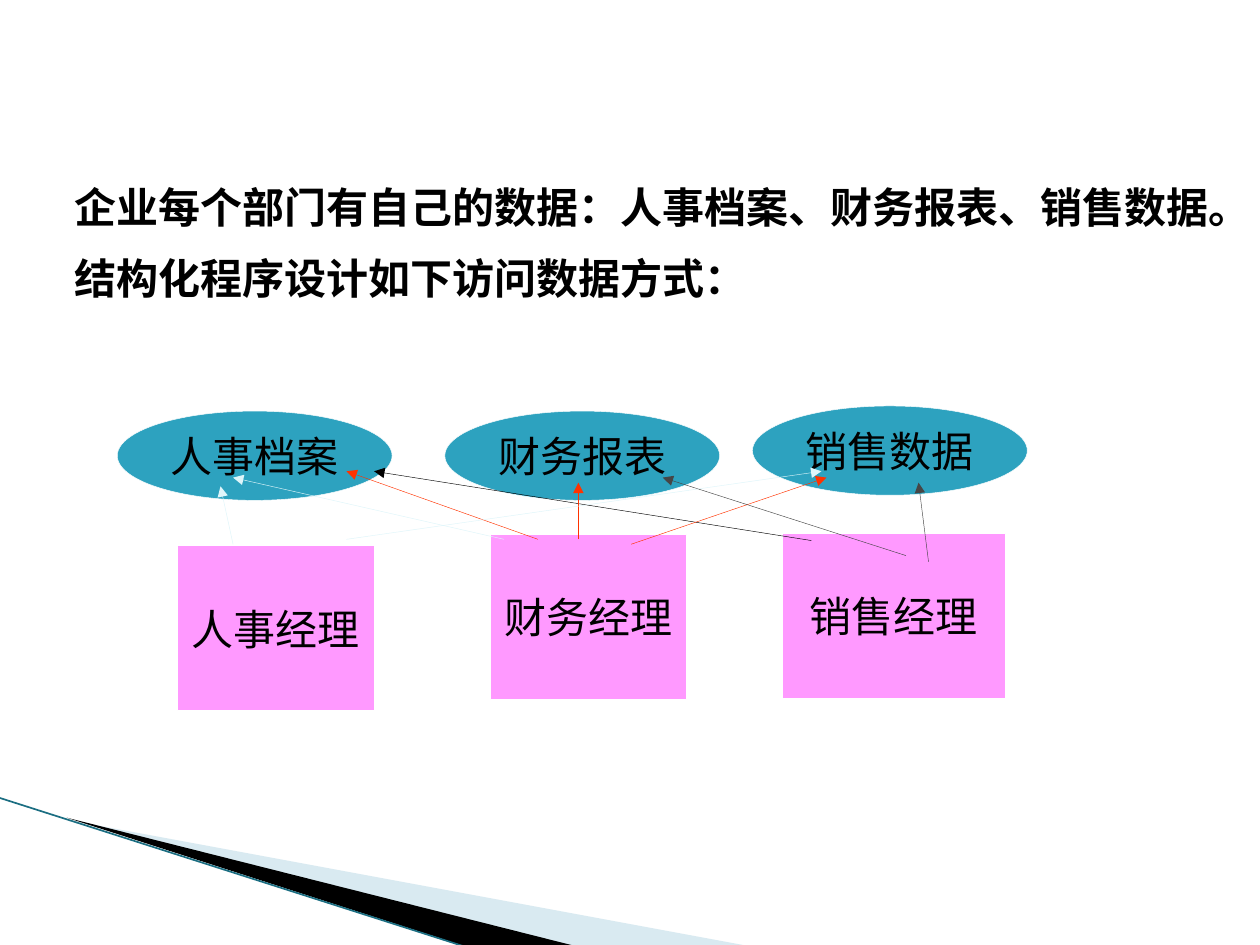
from lxml.etree import SubElement
from pptx import Presentation
from pptx.dml.color import RGBColor
from pptx.enum.shapes import MSO_CONNECTOR, MSO_SHAPE
from pptx.enum.text import MSO_ANCHOR, PP_ALIGN
from pptx.oxml.ns import qn
from pptx.util import Pt

COLORS = {
    "text": "000000",
    "data": "2DA2BF",
    "manager": "FF99FF",
    "outline": "FFFFFF",
    "personnel": "DEF5FA",
    "finance": "FF3300",
    "sales": "464646",
    "sales_far": "000000",
    "pale_wedge": "A0CBDC",
    "dark_wedge": "000000",
    "edge": "1B6E82",
}
FONT = "Times New Roman"


def color(name):
    return RGBColor.from_string(COLORS[name])


def add_text(para, text, bold=False):
    span = para.add_run()
    span.text = text
    span.font.name = FONT
    span.font.size = Pt(24)
    span.font.bold = bold
    span.font.color.rgb = color("text")


def add_node(page, kind, text, fill, left, top, width, height, wrap):
    node = page.shapes.add_shape(kind, Pt(left), Pt(top), Pt(width), Pt(height))
    node.shadow.inherit = False
    node.fill.solid()
    node.fill.fore_color.rgb = color(fill)
    node.line.color.rgb = color("outline")
    node.line.width = Pt(0.25)
    frame = node.text_frame
    frame.word_wrap = wrap
    frame.vertical_anchor = MSO_ANCHOR.MIDDLE
    para = frame.paragraphs[0]
    para.alignment = PP_ALIGN.CENTER
    add_text(para, text)


def add_line(page, start, end, name, width, arrow=False):
    line = page.shapes.add_connector(
        MSO_CONNECTOR.STRAIGHT, *[Pt(value) for value in (*start, *end)])
    line.line.color.rgb = color(name)
    line.line.width = Pt(width)
    if arrow:
        SubElement(line.line._get_or_add_ln(), qn("a:tailEnd"), type="triangle")
    SubElement(line._element.spPr, qn("a:effectLst"))


def add_wedge(page, points, name, opacity=None):
    start, *others = [(Pt(x), Pt(y)) for x, y in points]
    builder = page.shapes.build_freeform(*start)
    builder.add_line_segments(others, close=True)
    wedge = builder.convert_to_shape()
    wedge.shadow.inherit = False
    wedge.fill.solid()
    wedge.fill.fore_color.rgb = color(name)
    wedge.line.fill.background()
    if opacity:
        tint = wedge._element.spPr.find(qn("a:solidFill"))[0]
        SubElement(tint, qn("a:alpha"), val=str(opacity * 1000))


def add_decoration(page, left, top):
    pale = [(39.6, 12.9), (428.4, 84.9), (328.3, 84.9)]
    dark = [(38.2, 11.5), (329, 84.9), (267.8, 85.6)]
    for points, name, opacity in ((pale, "pale_wedge", 40), (dark, "dark_wedge", None)):
        add_wedge(page, [(left + x, top + y) for x, y in points], name, opacity)
    add_line(page, (left - 0.7, top), (left + 267.1, top + 85.6), "edge", 0.95)


def add_introduction(page, left, top, width, height):
    box = page.shapes.add_textbox(Pt(left), Pt(top), Pt(width), Pt(height))
    frame = box.text_frame
    frame.word_wrap = True
    lines = (
        "企业每个部门有自己的数据：人事档案、财务报表、销售数据。",
        "结构化程序设计如下访问数据方式：",
    )
    for index, text in enumerate(lines):
        para = frame.add_paragraph() if index else frame.paragraphs[0]
        para.space_before = Pt(12)
        add_text(para, text, bold=True)


def add_access_diagram(page, left, top):
    data = (("人事档案", 0, 2.9), ("财务报表", 187.2, 2.9), ("销售数据", 363, 0))
    for text, x, y in data:
        add_node(page, MSO_SHAPE.OVAL, text, "data", left + x, top + y, 157, 51, False)

    managers = (
        ("人事经理", 34.5, 79.8, 112.3),
        ("财务经理", 213.1, 73.3, 112.3),
        ("销售经理", 380.1, 72.6, 127.4),
    )
    for text, x, y, width in managers:
        add_node(page, MSO_SHAPE.RECTANGLE, text, "manager",
                 left + x, top + y, width, 94.3, True)

    arrows = (
        ("sales_far", (396.7, 76.9), (146.8, 37.3)),
        ("finance", (263.5, 76.2), (263.5, 43.8)),
        ("finance", (293.7, 79), (405.3, 40.9)),
        ("finance", (240.4, 76.2), (131, 37.3)),
        ("sales", (450.7, 85.5), (311.7, 40.9)),
        ("sales", (463.6, 89.1), (457.9, 43.8)),
        ("personnel", (221, 76.2), (66.2, 40.9)),
        ("personnel", (131, 76.2), (402.4, 37.3)),
        ("personnel", (66.2, 79), (59, 45.9)),
    )
    for name, start, end in arrows:
        add_line(page, (left + start[0], top + start[1]),
                 (left + end[0], top + end[1]), name, 0.25, arrow=True)


def main():
    deck = Presentation()
    deck.slide_width, deck.slide_height = Pt(720), Pt(540)
    page = deck.slides.add_slide(deck.slide_layouts[6])
    add_decoration(page, 0, 455.8)
    add_access_diagram(page, 67, 232)
    add_introduction(page, 35.3, 100, 671, 80)
    deck.save("out.pptx")


if __name__ == "__main__":
    main()
